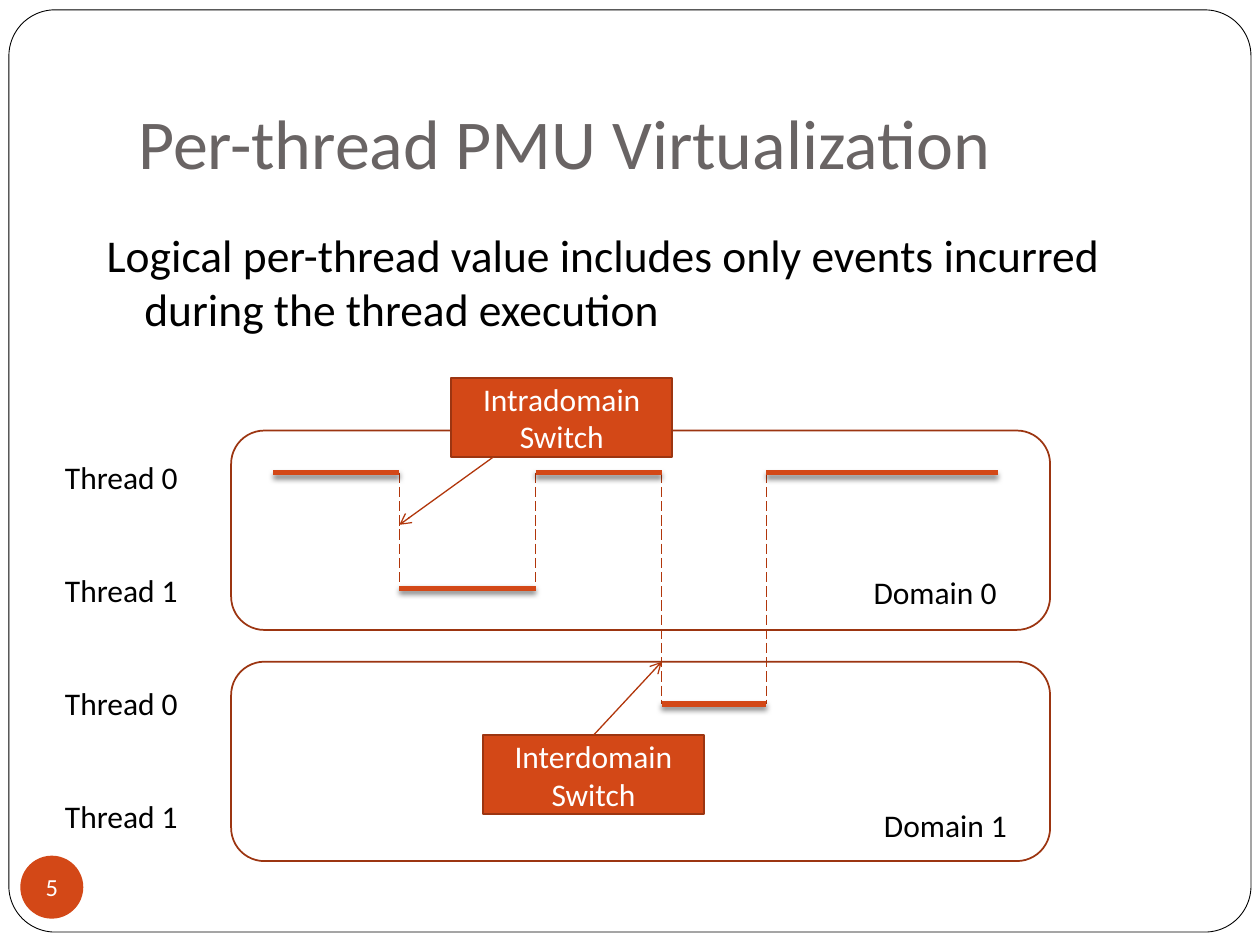
from dataclasses import dataclass
from itertools import pairwise

from lxml.etree import SubElement
from pptx import Presentation
from pptx.dml.color import RGBColor as RGB
from pptx.enum.dml import MSO_LINE_DASH_STYLE as Dash
from pptx.enum.shapes import MSO_CONNECTOR as Link, MSO_SHAPE as Preset
from pptx.enum.text import MSO_ANCHOR as Anchor, PP_ALIGN as Align
from pptx.oxml.ns import qn
from pptx.util import Cm, Pt


@dataclass(frozen=True)
class Theme:
    font: str = "Calibri"
    heading: str = "696464"
    ink: str = "000000"
    paper: str = "FFFFFF"
    accent: str = "D34817"
    border: str = "9C3511"
    thin: str = "B1360B"
    title_size: int = 40
    body_size: int = 26
    label_size: int = 18
    number_size: int = 14


THEME = Theme()

TITLE = "Per-thread PMU Virtualization"
BODY = "Logical per-thread value includes only events incurred during the thread execution"
THREADS = ["Thread 0", "Thread 1", "Thread 0", "Thread 1"]
PAGE = "5"

# Domain boxes: top of the box, then label and its place (cm)
DOMAINS = [(8.68, "Domain 0", 17.36, 11.43), (13.34, "Domain 1", 17.57, 16.13)]
DOMAIN_LEFT, DOMAIN_WIDTH, DOMAIN_HEIGHT = 4.66, 16.51, 4.02

# Which thread row runs between one switch time and the next
RUNNING_ROWS = [0, 1, 0, 2, 0]
SWITCH_TIMES = [5.51, 8.05, 10.8, 13.34, 15.45, 20.11]
FIRST_ROW, ROW_STEP = 9.53, 2.33

INTRADOMAIN = (["Intradomain", "Switch"], 9.1, 7.62)
INTERDOMAIN = (["Interdomain", "Switch"], 9.74, 14.82)
CALLOUT_WIDTH, CALLOUT_HEIGHT = 4.45, 1.59

deck = Presentation()
deck.slide_width, deck.slide_height = Cm(25.4), Cm(19.05)
shapes = deck.slides.add_slide(deck.slide_layouts[6]).shapes


def write(shape, lines, size, color, align=Align.LEFT, anchor=Anchor.TOP):
    frame = shape.text_frame
    frame.word_wrap = True
    frame.vertical_anchor = anchor
    frame.text = "\n".join(lines)
    for paragraph in frame.paragraphs:
        paragraph.alignment = align
        paragraph.font.name = THEME.font
        paragraph.font.size = Pt(size)
        paragraph.font.color.rgb = RGB.from_string(color)
    return frame


def add_text(lines, box, size, color=THEME.ink, **placing):
    return write(shapes.add_textbox(*map(Cm, box)), lines, size, color, **placing)


def add_box(preset, box, fill=None, border=None, weight=1):
    shape = shapes.add_shape(preset, *map(Cm, box))
    shape.shadow.inherit = False
    if fill:
        shape.fill.solid()
        shape.fill.fore_color.rgb = RGB.from_string(fill)
    else:
        shape.fill.background()
    if border:
        shape.line.color.rgb = RGB.from_string(border)
        shape.line.width = Pt(weight)
    else:
        shape.line.fill.background()
    return shape


def add_line(start, end, color=THEME.thin, weight=0.75, dash=None, arrow=False, shadow=False):
    line = shapes.add_connector(Link.STRAIGHT, *map(Cm, (*start, *end)))
    line.line.color.rgb = RGB.from_string(color)
    line.line.width = Pt(weight)
    if dash:
        line.line.dash_style = dash
    if arrow:
        SubElement(line.line._get_or_add_ln(), qn("a:tailEnd"), type="arrow")
    effects = SubElement(line._element.spPr, qn("a:effectLst"))
    if shadow:
        cast = SubElement(effects, qn("a:outerShdw"), blurRad=str(Pt(3)),
                          dist=str(Pt(2)), dir="5400000", rotWithShape="0")
        tint = SubElement(cast, qn("a:srgbClr"), val=THEME.ink)
        SubElement(tint, qn("a:alpha"), val="50000")
    return line


def add_callout(lines, left, top):
    box = add_box(Preset.RECTANGLE, (left, top, CALLOUT_WIDTH, CALLOUT_HEIGHT),
                  THEME.accent, THEME.border)
    write(box, lines, THEME.label_size, THEME.paper, Align.CENTER, Anchor.MIDDLE)
    return box


def row_y(row):
    return FIRST_ROW + row * ROW_STEP


# Frame and headings
frame = add_box(Preset.ROUNDED_RECTANGLE, (0.18, 0.2, 25.04, 18.59),
                THEME.paper, THEME.ink, 0.5)
frame.adjustments[0] = 0.05
heading = add_text([TITLE], (2.54, 0.76, 21.59, 3.18), THEME.title_size,
                   THEME.heading, anchor=Anchor.BOTTOM)
heading.margin_bottom = Cm(0.25)
statement = add_text([BODY], (1.9, 4.45, 22.66, 2.54), THEME.body_size).paragraphs[0]
statement.space_before = Pt(5.8)
indent = Cm(0.76)
properties = statement._p.get_or_add_pPr()
properties.set("marL", str(indent))
properties.set("indent", str(-indent))

# Thread timeline: a bar per run, a dashed drop at each switch
runs = list(zip(RUNNING_ROWS, pairwise(SWITCH_TIMES)))
for (row, (_, switch)), (next_row, _) in pairwise(runs):
    upper, lower = sorted((row, next_row))
    add_line((switch, row_y(upper)), (switch, row_y(lower)), dash=Dash.LONG_DASH)
for row, (start, stop) in runs:
    add_line((start, row_y(row)), (stop, row_y(row)), THEME.accent, 3, shadow=True)

# Domains and thread names
for top, name, name_left, name_top in DOMAINS:
    add_box(Preset.ROUNDED_RECTANGLE, (DOMAIN_LEFT, top, DOMAIN_WIDTH, DOMAIN_HEIGHT),
            border=THEME.border)
    add_text([name], (name_left, name_top, 3.6, 1.03), THEME.label_size)
names = add_text(THREADS, (1.06, 9.1, 3.18, 7.95), THEME.label_size)
for paragraph in names.paragraphs[1:]:
    paragraph.space_before = Pt(43)

# Switch callouts
add_callout(*INTRADOMAIN)
add_line((9.95, 7.62 + CALLOUT_HEIGHT), (SWITCH_TIMES[1], 10.58), arrow=True)
interdomain = add_callout(*INTERDOMAIN)
pointer = add_line((11.96, 14.82), (SWITCH_TIMES[3], DOMAINS[1][0]), arrow=True)
pointer.begin_connect(interdomain, 0)

# Page number
badge = add_box(Preset.OVAL, (0.41, 17.25, 1.27, 1.27), THEME.accent)
number = write(badge, [PAGE], THEME.number_size, THEME.paper, Align.CENTER, Anchor.MIDDLE)
number.word_wrap = False
number.margin_left = number.margin_right = number.margin_top = number.margin_bottom = 0

deck.save("out.pptx")
